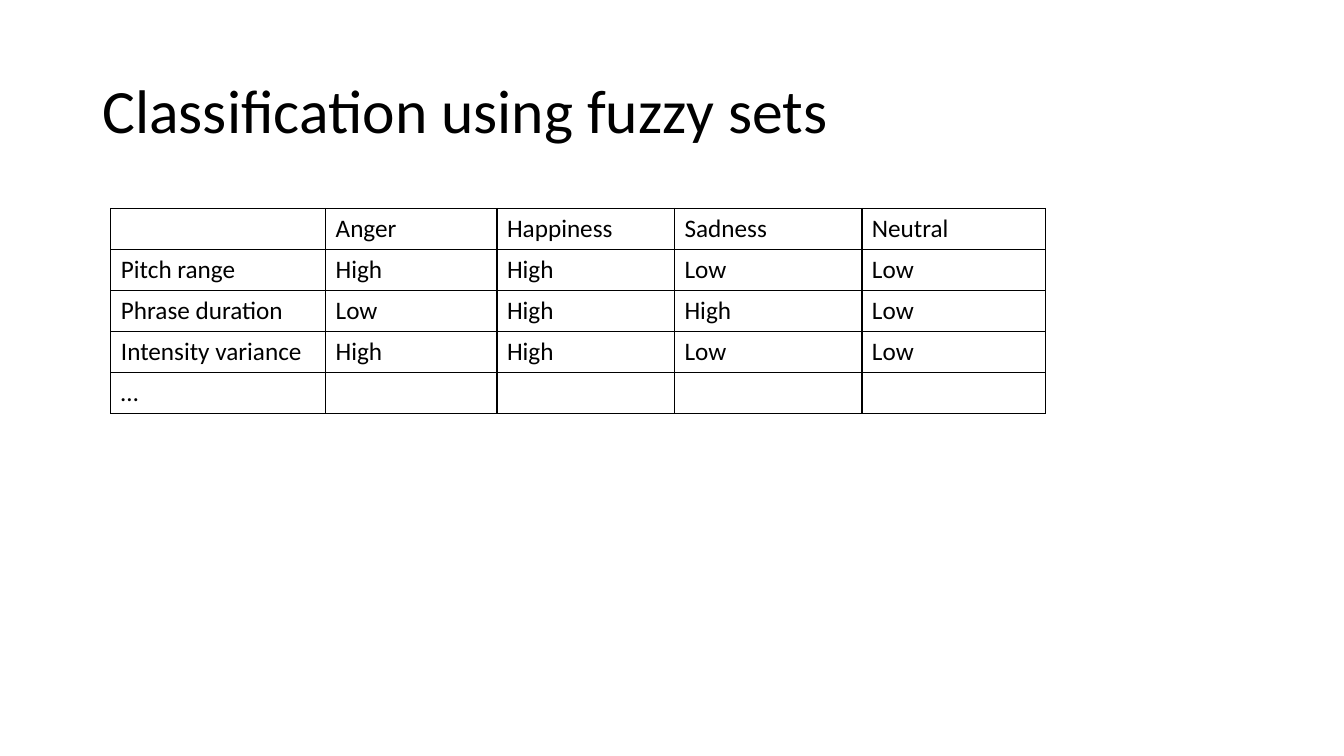
from lxml.etree import SubElement
from pptx import Presentation
from pptx.dml.color import RGBColor
from pptx.enum.text import MSO_ANCHOR, PP_ALIGN
from pptx.oxml.ns import qn
from pptx.util import Pt

TITLE = "Classification using fuzzy sets"
ROWS = [
    ("", "Anger", "Happiness", "Sadness", "Neutral"),
    ("Pitch range", "High", "High", "Low", "Low"),
    ("Phrase duration", "Low", "High", "High", "Low"),
    ("Intensity variance", "High", "High", "Low", "Low"),
    ("…", "", "", "", ""),
]
COLUMN_WIDTHS = (153.4, 122.4, 126.8, 133.9, 130.9)
ROW_HEIGHT = 29.25
TABLE_LEFT, TABLE_TOP = 79.2, 149
COLORS = {"ink": "000000", "background": "FFFFFF"}
FONT = "Calibri"


def format_text(paragraph, size):
    for run in paragraph.runs:
        run.font.name = FONT
        run.font.size = Pt(size)
        run.font.color.rgb = RGBColor.from_string(COLORS["ink"])


def add_borders(cell):
    properties = cell._tc.get_or_add_tcPr()
    for position, side in enumerate(("lnL", "lnR", "lnT", "lnB")):
        line = SubElement(properties, qn(f"a:{side}"), w=str(Pt(1)))
        fill = SubElement(line, qn("a:solidFill"))
        SubElement(fill, qn("a:srgbClr"), val=COLORS["ink"])
        properties.insert(position, line)


def add_title(slide):
    title = slide.shapes.title
    title.left, title.top, title.width, title.height = Pt(66), Pt(28.75), Pt(828), Pt(104.4)
    title.text_frame.text = TITLE
    title.text_frame.vertical_anchor = MSO_ANCHOR.MIDDLE
    paragraph = title.text_frame.paragraphs[0]
    paragraph.alignment = PP_ALIGN.LEFT
    paragraph.line_spacing = 0.9
    format_text(paragraph, 44)


def add_feature_table(slide):
    frame = slide.shapes.add_table(
        len(ROWS), len(COLUMN_WIDTHS), Pt(TABLE_LEFT), Pt(TABLE_TOP),
        Pt(sum(COLUMN_WIDTHS)), Pt(ROW_HEIGHT * len(ROWS)))
    table = frame.table
    table.first_row = table.horz_banding = False
    for column, width in zip(table.columns, COLUMN_WIDTHS):
        column.width = Pt(width)
    for row, texts in zip(table.rows, ROWS):
        row.height = Pt(ROW_HEIGHT)
        for cell, text in zip(row.cells, texts):
            cell.text_frame.text = text
            format_text(cell.text_frame.paragraphs[0], 18)
            cell.fill.background()
            add_borders(cell)


def main():
    presentation = Presentation()
    presentation.slide_width, presentation.slide_height = Pt(960), Pt(540)
    slide = presentation.slides.add_slide(presentation.slide_layouts[5])
    slide.background.fill.solid()
    slide.background.fill.fore_color.rgb = RGBColor.from_string(COLORS["background"])
    add_title(slide)
    add_feature_table(slide)
    presentation.save("out.pptx")


if __name__ == "__main__":
    main()
